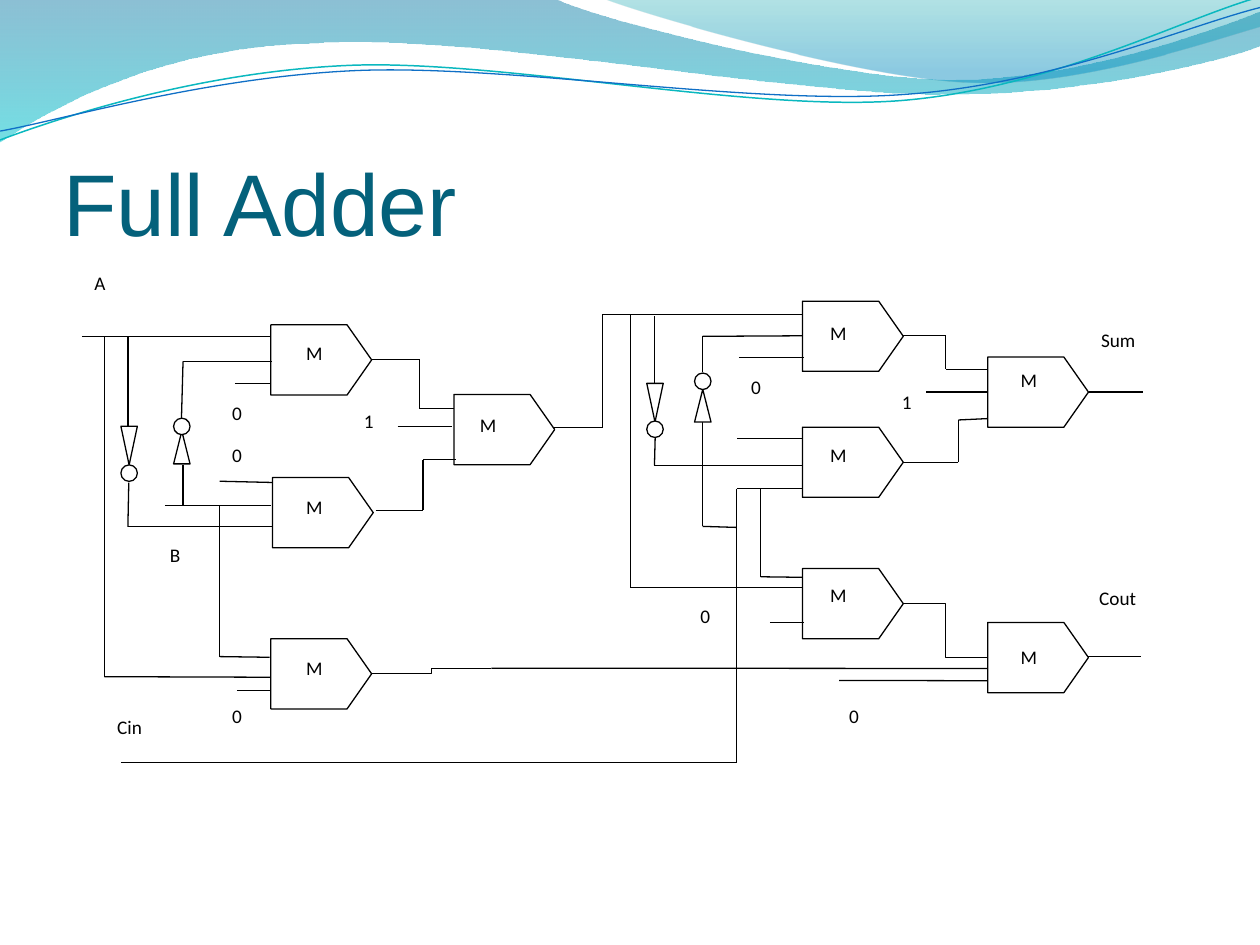
from dataclasses import dataclass
from itertools import pairwise

from lxml.etree import SubElement
from pptx import Presentation
from pptx.dml.color import RGBColor
from pptx.enum.shapes import MSO_CONNECTOR, MSO_SHAPE
from pptx.enum.text import MSO_ANCHOR, PP_ALIGN
from pptx.oxml.ns import qn
from pptx.util import Pt


@dataclass(frozen=True)
class Theme:
    ink: RGBColor = RGBColor(0, 0, 0)
    paper: RGBColor = RGBColor(255, 255, 255)
    title: RGBColor = RGBColor.from_string("04617B")
    title_font: str = "Arial"
    label_font: str = "Calibri"
    title_size: float = 50
    label_size: float = 11
    line_width: float = 0.75


THEME = Theme()

# Outlines are a start and pieces: one point is a line, three are a Bezier curve.
# Gradient stops are position, opacity and colour.
BANDS = [
    ((0, 0),
     [[(317, -0.7)],
      [(343, 12), (478, 45.4), (546, 45.4)], [(614, 45.4), (690, 18.7), (720, 6.5)],
      [(720.7, 26)],
      [(708, 31.7), (626, 54.7), (537, 54)], [(447, 54), (275, 20.2), (185, 24.5)],
      [(93, 26), (33, 59.8), (-0.7, 81.4)]],
     [(0, 0.45, "0074A1"), (1, 0.55, "00C6CF")]),
    ((345, -0.7),
     [[(366.5, 8), (491, 44.6), (554, 46.8)], [(616, 49.7), (692, 23), (720, 15.1)],
      [(720, 0)]],
     [(0, 0.30, "00A1A9"), (0.8, 0.45, "008BBF")]),
]
RIBBONS = [
    ((0, 80), [[(34.6, 67), (113.8, 41), (199.4, 37.4)],
               [(284.4, 33.8), (427, 64), (513.4, 57.6)],
               [(599.8, 51), (675.4, 10.8), (718.6, -1.4)]], "0AB8BF", 0.85),
    ((0, 74.9), [[(33.8, 69), (118, 44), (203.8, 40.3)],
                 [(290.2, 36.7), (429.8, 60.5), (516.2, 54)],
                 [(602, 48.2), (677.5, 15), (720, 4.3)]], "0F6FC6", 0.75),
]

GATES = [(154.8, 185.6), (155.7, 272.9), (154.8, 365), (259.4, 225.4),
         (458.6, 172.1), (458.6, 244.1), (458.6, 324.9),
         (564.4, 204), (564.4, 355.7)]

WIRES = [
    # First stage inputs
    [(46.8, 192.3), (154.8, 192.3)],
    [(59.6, 192.3), (59.6, 386.7), (154.8, 387)],
    [(73.1, 192.3), (73.1, 243.4)],
    [(73.6, 275.8), (73.1, 301), (155.5, 301)],
    [(94.3, 288.8), (154.8, 288.8)],
    [(104.6, 288.8), (104.6, 265.7)],
    [(103.7, 239), (104.6, 206.5), (155.5, 206.5)],
    [(125.5, 288.8), (125.5, 375.2), (154.1, 375.6)],
    [(134.2, 219.1), (154.1, 219.1)],
    [(155.5, 275.7), (125.5, 275)],
    [(135.4, 394.6), (154.8, 394.6)],
    # First stage outputs
    [(212.4, 205.4), (239.6, 205.4), (239.6, 233.3), (259.2, 233.3)],
    [(227.2, 243.6), (258.5, 243.6)],
    [(214.6, 291.7), (241.8, 291.7), (241.8, 262.7), (260.6, 262.7)],
    [(316.8, 244.2), (344.4, 244.2), (344.4, 179.7), (458.6, 179.7)],
    [(280.8, 381.8), (564.5, 382)],
    # Second stage inputs
    [(69.1, 435.9), (420.9, 435.9), (420.9, 279.2), (458.6, 279.2)],
    [(360.3, 179.7), (360.3, 335.7), (458.6, 335.7)],
    [(374, 180.7), (374, 218.9)],
    [(374.4, 249.8), (374, 265.9), (458.6, 265.9)],
    [(401.5, 212.6), (401.5, 192.2), (458.6, 191.9)],
    [(401.5, 241.2), (401.5, 300.8), (420.9, 301.4)],
    [(422.2, 204.1), (459.4, 204.1)],
    [(421.2, 250.6), (458.6, 250.6)],
    [(434.6, 279.2), (434.6, 329.6), (458.6, 329.9)],
    [(440, 355.7), (459.4, 355.7)],
    # Second stage outputs
    [(516.2, 191.9), (540.5, 191.9), (540.5, 211), (564.5, 211)],
    [(516.2, 264.2), (547.7, 264.2), (547.7, 240), (564.5, 239.2)],
    [(527.8, 224.1), (564.5, 224.1)],
    [(479.5, 388.8), (564.5, 389)],
    [(622.1, 224.1), (653, 224.1)],
    [(621.5, 375.2), (652.3, 375.2)],
]
ELBOWS = [[(212.4, 384.9), (280.8, 381.9)], [(516.2, 344.9), (564.5, 375.6)]]

# Triangle shape, left, triangle top, triangle height, bubble top
INVERTERS = [
    (MSO_SHAPE.FLOWCHART_MERGE, 69.1, 243.6, 22.1, 265.7),
    (MSO_SHAPE.FLOWCHART_MERGE, 369.6, 219.1, 22.1, 240.6),
    (MSO_SHAPE.ISOSCELES_TRIANGLE, 99.2, 246.4, 18.7, 239),
    (MSO_SHAPE.ISOSCELES_TRIANGLE, 396.9, 222.5, 18.7, 213.2),
]

# Text, left, top, width, height
LABELS = [
    ("A", 46.8, 151.5, 31.7, 28.1), ("B", 90, 306.7, 23.8, 24.5),
    ("Cin", 59.8, 405.4, 39.6, 23.8), ("Sum", 622.1, 184.3, 48.2, 31),
    ("Cout", 621, 331.6, 49.7, 33.8),
    ("0", 125.6, 225.7, 20.9, 23.8), ("0", 125.6, 249.8, 28.1, 23.8),
    ("0", 125.6, 398.9, 20.9, 33.1), ("0", 422.2, 211, 25.9, 28.1),
    ("0", 478.1, 398.9, 30.2, 30.2),
    ("1", 200.9, 230.4, 20.2, 23.8), ("1", 508.3, 219.3, 20.2, 25.2),
    ("M", 167.8, 191.5, 27.4, 28.1), ("M", 167.8, 279.4, 27.4, 22.3),
    ("M", 167.8, 371.5, 27.4, 29.5), ("M", 267.1, 232.6, 30.2, 30.2),
    ("M", 467.3, 180, 27.4, 25.9), ("M", 467.3, 249.8, 27.4, 29.5),
    ("M", 467.3, 329.8, 27.4, 25.9), ("M", 576.2, 207, 25.2, 33.8),
    ("M", 576.2, 365, 25.2, 29.5),
]
RIGHT_LABEL = ("0", 374.1, 342, 38.9, 25.9)


def apply(target, values):
    for name, value in values.items():
        setattr(target, name, value)


def add_outline(shapes, start, pieces, close):
    """Draw a freeform, folding each three-point piece into one Bezier curve."""
    builder = shapes.build_freeform(*(Pt(value) for value in start))
    corners = [(Pt(x), Pt(y)) for piece in pieces for x, y in piece]
    builder.add_line_segments(corners, close=close)
    shape = builder.convert_to_shape()
    shape.shadow.inherit = False
    lines = iter(list(shape.element.iter(qn("a:lnTo"))))
    for piece in pieces:
        steps = [next(lines) for _ in piece]
        if len(steps) == 3:
            curve = steps[0].makeelement(qn("a:cubicBezTo"))
            steps[0].addprevious(curve)
            for step in steps:
                curve.append(step[0])
                step.getparent().remove(step)
    return shape


def add_band(shapes, start, pieces, stops):
    band = add_outline(shapes, start, pieces, True)
    band.line.fill.background()
    band.fill.gradient()
    band.fill.gradient_angle = 270
    for stop, (position, _, colour) in zip(band.fill.gradient_stops, stops):
        stop.position = position
        stop.color.rgb = RGBColor.from_string(colour)
    for node, (_, opacity, _) in zip(band.element.iter(qn("a:srgbClr")), stops):
        SubElement(node, qn("a:alpha")).set("val", str(round(opacity * 100000)))


def add_ribbon(shapes, start, pieces, colour, width):
    ribbon = add_outline(shapes, start, pieces, False)
    ribbon.fill.background()
    ribbon.line.color.rgb = RGBColor.from_string(colour)
    ribbon.line.width = Pt(width)


def add_part(shapes, kind, left, top, width, height, line=THEME.ink):
    part = shapes.add_shape(kind, Pt(left), Pt(top), Pt(width), Pt(height))
    part.shadow.inherit = False
    part.fill.solid()
    part.fill.fore_color.rgb = THEME.paper
    part.line.color.rgb = line
    part.line.width = Pt(THEME.line_width)
    return part


def add_wire(shapes, points, kind=MSO_CONNECTOR.STRAIGHT):
    for start, end in pairwise(points):
        wire = shapes.add_connector(kind, *(Pt(value) for value in start + end))
        wire.line.color.rgb = THEME.ink
        wire.line.width = Pt(THEME.line_width)
        SubElement(wire.element.spPr, qn("a:effectLst"))


def add_label(shapes, text, *place, align=PP_ALIGN.LEFT):
    box = add_part(shapes, MSO_SHAPE.RECTANGLE, *place, line=THEME.paper)
    apply(box.text_frame, {"word_wrap": True, "vertical_anchor": MSO_ANCHOR.TOP})
    para = box.text_frame.paragraphs[0]
    para.alignment = align
    span = para.add_run()
    span.text = text
    apply(span.font, {"name": THEME.label_font, "size": Pt(THEME.label_size)})
    span.font.color.rgb = THEME.ink


def format_title(title, text):
    apply(title, {"left": Pt(36), "top": Pt(55.4), "width": Pt(648), "height": Pt(90)})
    apply(title.text_frame, {"text": text, "vertical_anchor": MSO_ANCHOR.BOTTOM,
                             "margin_left": 0, "margin_right": 0,
                             "margin_top": Pt(3.6), "margin_bottom": 0})
    para = title.text_frame.paragraphs[0]
    para.alignment = PP_ALIGN.LEFT
    font = para.runs[0].font
    apply(font, {"name": THEME.title_font, "size": Pt(THEME.title_size)})
    font.color.rgb = THEME.title


def add_circuit(shapes):
    for left, top in GATES:
        gate = add_part(shapes, MSO_SHAPE.PENTAGON, left, top, 57.6, 40.1)
        gate.adjustments[0] = 0.35
    for points in WIRES:
        add_wire(shapes, points)
    for points in ELBOWS:
        add_wire(shapes, points, MSO_CONNECTOR.ELBOW)
    for kind, left, top, height, bubble_top in INVERTERS:
        add_part(shapes, kind, left, top, 9.4, height)
        add_part(shapes, MSO_SHAPE.FLOWCHART_CONNECTOR, left, bubble_top, 9.4, 9.4)
    for label in LABELS:
        add_label(shapes, *label)
    add_label(shapes, *RIGHT_LABEL, align=PP_ALIGN.RIGHT)


def main():
    deck = Presentation()
    apply(deck, {"slide_width": Pt(720), "slide_height": Pt(540)})
    page = deck.slides.add_slide(deck.slide_layouts[5])
    for band in BANDS:
        add_band(page.shapes, *band)
    for ribbon in RIBBONS:
        add_ribbon(page.shapes, *ribbon)
    format_title(page.shapes.title, "Full Adder")
    add_circuit(page.shapes.add_group_shape().shapes)
    deck.save("out.pptx")


if __name__ == "__main__":
    main()
